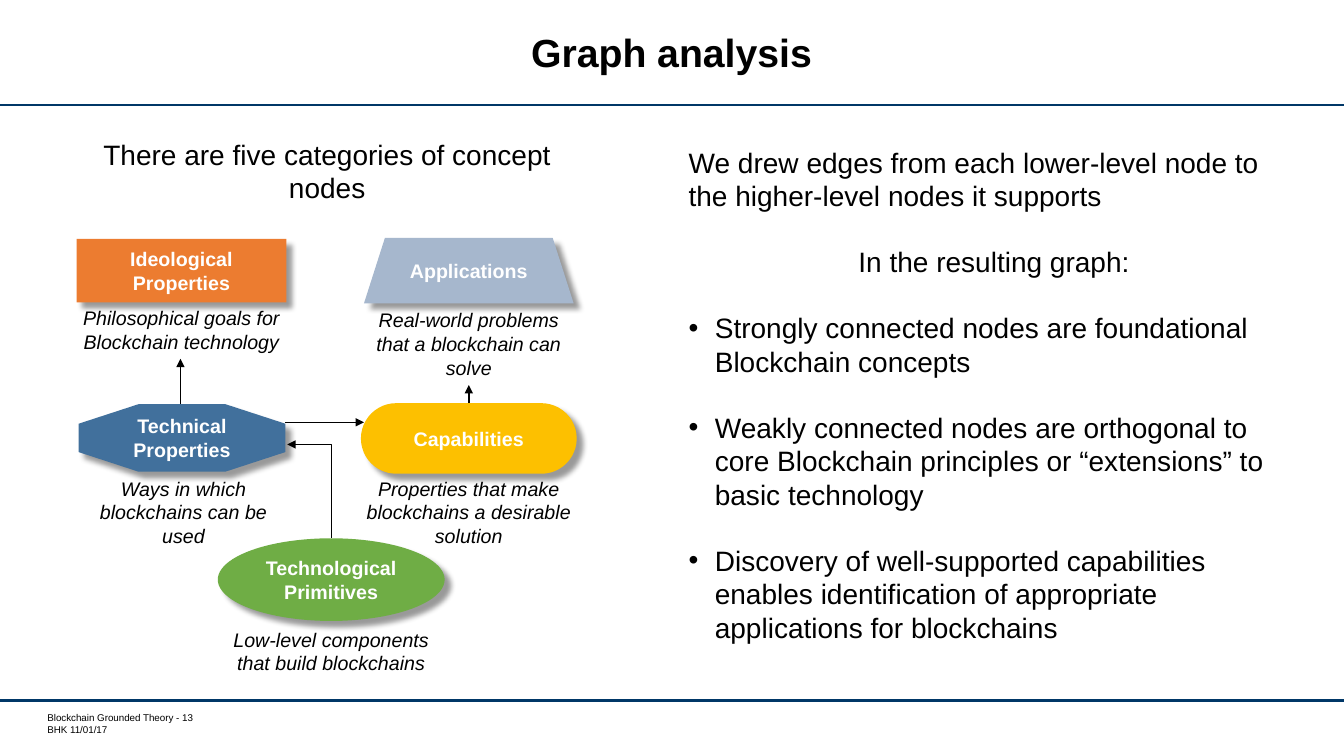
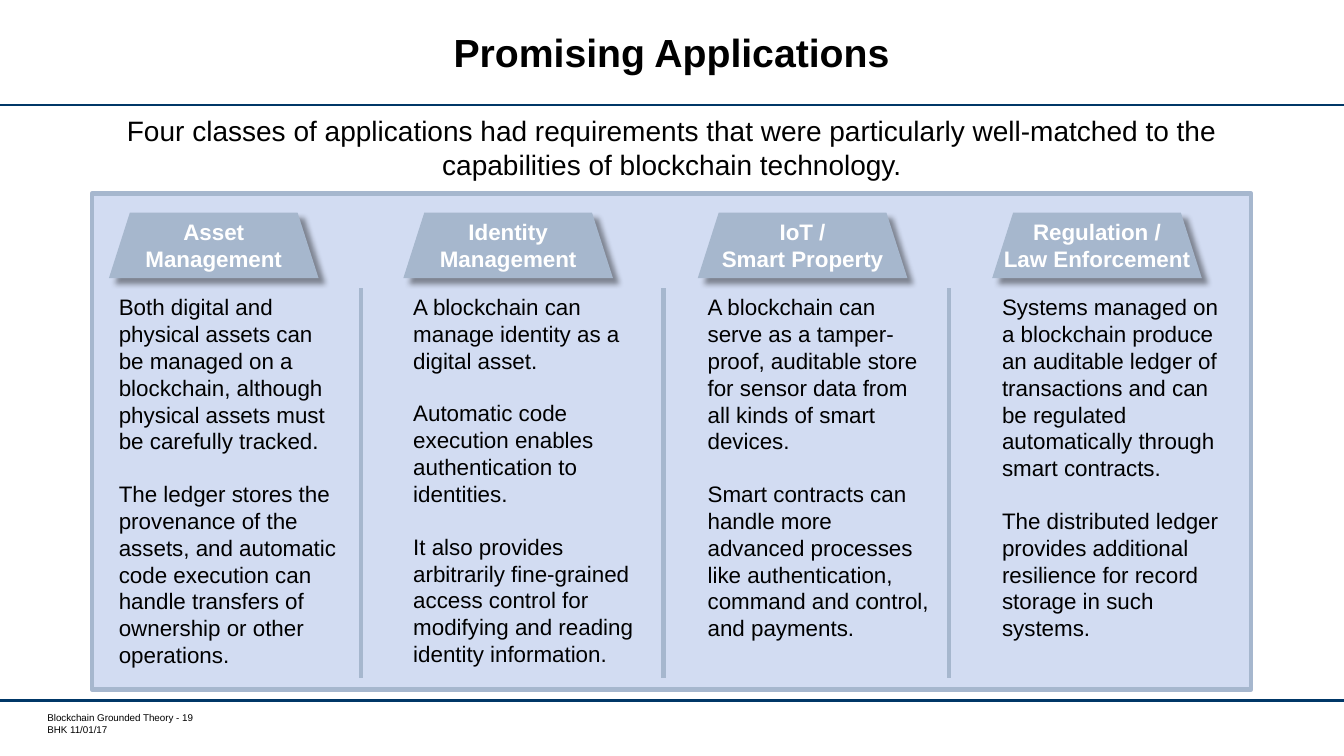
from lxml import etree
from pptx import Presentation
from pptx.dml.color import RGBColor
from pptx.enum.shapes import MSO_CONNECTOR, MSO_SHAPE
from pptx.enum.text import MSO_ANCHOR, MSO_AUTO_SIZE, PP_ALIGN
from pptx.oxml.ns import qn
from pptx.util import Inches, Pt

LEFT, CENTER = PP_ALIGN.LEFT, PP_ALIGN.CENTER
TOP, MIDDLE = MSO_ANCHOR.TOP, MSO_ANCHOR.MIDDLE
FIXED_SIZE = MSO_AUTO_SIZE.NONE
STRAIGHT, ELBOW = MSO_CONNECTOR.STRAIGHT, MSO_CONNECTOR.ELBOW
RECTANGLE, ROUNDED, OVAL = MSO_SHAPE.RECTANGLE, MSO_SHAPE.ROUNDED_RECTANGLE, MSO_SHAPE.OVAL
TITLE_AND_CONTENT, TWO_CONTENT = 1, 3

FONT = "Arial"
SLIDE_WIDTH, SLIDE_HEIGHT = 13.33, 7.5
COLORS = {
    "text": "000000",
    "light": "FFFFFF",
    "rule": "003767",
    "ideology": "EC7C30",
    "technical": "41709C",
    "capability": "FDC000",
    "application": "A6B7CD",
    "primitive": "6FAD45",
    "panel": "D2DCF2",
    "border": "A6B7CE",
}
INSETS = (0.1, 0.05, 0.1, 0.05)
NO_INSETS = (0, 0, 0, 0)
TITLE_FONT = {"size": Pt(28), "bold": True}
BODY_FONT = {"size": Pt(20)}
COLUMN_FONT = {"size": Pt(16)}
CAPTION_FONT = {"size": Pt(14), "italic": True}
FOOTER_FONT = {"size": Pt(7)}

# Outlines as fractions of the shape's width and height
TRAPEZOID = ((0.1, 0), (0.9, 0), (1, 1), (0, 1))
WIDE_OCTAGON = ((0.29, 0), (0.71, 0), (1, 0.29), (1, 0.71),
                (0.71, 1), (0.29, 1), (0, 0.71), (0, 0.29))


def rgb(color):
    return RGBColor.from_string(COLORS[color])


def add_xml(parent, tag, **attributes):
    return etree.SubElement(parent, qn(tag), attributes)


class Deck:
    def __init__(self):
        self.presentation = Presentation()
        self.presentation.slide_width = Inches(SLIDE_WIDTH)
        self.presentation.slide_height = Inches(SLIDE_HEIGHT)
        self.slide = None

    def new_slide(self, layout, title, number):
        """Start a slide with its title, two rules and footer."""
        self.slide = self.presentation.slides.add_slide(
            self.presentation.slide_layouts[layout])
        self.placeholder(0, (1.37, 0.11, 10.58, 0.89), [title], TITLE_FONT,
                         anchor=MIDDLE, line_spacing=Pt(28))
        for y in (1.04, 6.95):
            self.line((0, y), (SLIDE_WIDTH, y), "rule", 1.75)
        footer = (f"Blockchain Grounded Theory - {number}", "BHK 11/01/17")
        self.text_box((0.47, 7.06, 1.8, 0.24), footer, FOOTER_FONT, insets=NO_INSETS)

    def set_text(self, shape, paragraphs, font, color="text", align=LEFT, anchor=TOP,
                 insets=INSETS, gap=0, line_spacing=1.0):
        frame = shape.text_frame
        margins = dict(zip(
            ("margin_left", "margin_top", "margin_right", "margin_bottom"),
            map(Inches, insets)))
        frame_format = {"word_wrap": True, "auto_size": FIXED_SIZE,
                        "vertical_anchor": anchor, **margins}
        for name, value in frame_format.items():
            setattr(frame, name, value)
        for index, text in enumerate(paragraphs):
            paragraph = frame.add_paragraph() if index else frame.paragraphs[0]
            paragraph_format = {"alignment": align, "line_spacing": line_spacing,
                                "space_before": Pt(gap if index else 0),
                                "space_after": Pt(0)}
            for name, value in paragraph_format.items():
                setattr(paragraph, name, value)
            run = paragraph.add_run()
            run.text = text
            for name, value in {"name": FONT, **font}.items():
                setattr(run.font, name, value)
            run.font.color.rgb = rgb(color)
        return frame.paragraphs

    def placeholder(self, index, box, paragraphs, font, bullets_from=None, **text_format):
        """Move and fill a placeholder; paragraphs from bullets_from on get bullets."""
        shape = self.slide.placeholders[index]
        for name, value in zip(("left", "top", "width", "height"), box):
            setattr(shape, name, Inches(value))
        filled = self.set_text(shape, paragraphs, font,
                               **{"align": CENTER, **text_format})
        for position, paragraph in enumerate(filled):
            properties = paragraph._p.get_or_add_pPr()
            bulleted = bullets_from is not None and position >= bullets_from
            indent = Inches(0.26) if bulleted else 0
            properties.set("marL", str(indent))
            properties.set("indent", str(-indent))
            if bulleted:
                add_xml(properties, "a:buChar", char="•")
            else:
                add_xml(properties, "a:buNone")
        return filled

    def text_box(self, box, paragraphs, font, **text_format):
        shape = self.slide.shapes.add_textbox(*map(Inches, box))
        self.set_text(shape, paragraphs, font, **text_format)

    def caption(self, box, text):
        self.text_box(box, [text], CAPTION_FONT, align=CENTER,
                      insets=(0, 0.05, 0, 0.05))

    def paint(self, shape, fill, border=None):
        shape.shadow.inherit = False
        shape.fill.solid()
        shape.fill.fore_color.rgb = rgb(fill)
        if border:
            shape.line.color.rgb = rgb(border)
            shape.line.width = Pt(3)
        else:
            shape.line.fill.background()

    def panel(self, box, fill, border):
        shape = self.slide.shapes.add_shape(RECTANGLE, *map(Inches, box))
        self.paint(shape, fill, border)

    def node(self, outline, box, fill, lines, size=14):
        """Add a labelled, shadowed shape from a preset or a tuple of points."""
        if isinstance(outline, tuple):
            left, top, width, height = box
            points = [(Inches(left + x * width), Inches(top + y * height))
                      for x, y in outline]
            builder = self.slide.shapes.build_freeform(*points[0])
            builder.add_line_segments(points[1:], close=True)
            shape = builder.convert_to_shape()
        else:
            shape = self.slide.shapes.add_shape(outline, *map(Inches, box))
            if outline == ROUNDED:
                shape.adjustments[0] = 0.5
        self.paint(shape, fill)
        effects = shape._element.spPr.find(qn("a:effectLst"))
        shadow = add_xml(effects, "a:outerShdw", blurRad=str(Pt(4)), dist=str(Pt(6)),
                         dir="2700000", algn="tl", rotWithShape="0")
        shade = add_xml(shadow, "a:srgbClr", val=COLORS["text"])
        add_xml(shade, "a:alpha", val="40000")
        self.set_text(shape, lines, {"size": Pt(size), "bold": True}, color="light",
                      align=CENTER, anchor=MIDDLE, insets=NO_INSETS)

    def line(self, start, end, color, width, kind=STRAIGHT):
        connector = self.slide.shapes.add_connector(
            kind, *map(Inches, (*start, *end)))
        connector.line.color.rgb = rgb(color)
        connector.line.width = Pt(width)
        add_xml(connector._element.spPr, "a:effectLst")
        return connector

    def arrow(self, start, end):
        """Point from start to end, going up first and then sideways if both differ."""
        bent = start[0] != end[0] and start[1] != end[1]
        connector = self.line(start, end, "text", 1, ELBOW if bent else STRAIGHT)
        properties = connector._element.spPr
        add_xml(properties.find(qn("a:ln")), "a:tailEnd", type="triangle")
        if bent:
            geometry = properties.find(qn("a:prstGeom"))
            adjustments = geometry.find(qn("a:avLst"))
            if adjustments is None:
                adjustments = add_xml(geometry, "a:avLst")
            add_xml(adjustments, "a:gd", name="adj1", fmla="val 0")


def graph_analysis(deck):
    deck.new_slide(TWO_CONTENT, "Graph analysis", 13)
    deck.placeholder(1, (0.76, 1.3, 4.97, 0.79),
                     ["There are five categories of concept nodes"],
                     BODY_FONT, anchor=MIDDLE)
    findings = (
        "We drew edges from each lower-level node to the higher-level nodes it supports",
        "In the resulting graph:",
        "Strongly connected nodes are foundational Blockchain concepts",
        "Weakly connected nodes are orthogonal to core Blockchain principles or "
        "“extensions” to basic technology",
        "Discovery of well-supported capabilities enables identification of appropriate "
        "applications for blockchains",
    )
    paragraphs = deck.placeholder(2, (6.73, 1.33, 6.26, 5.17), findings, BODY_FONT,
                                  bullets_from=2, align=LEFT, anchor=MIDDLE, gap=23)
    paragraphs[1].alignment = CENTER

    nodes = (
        (RECTANGLE, (0.76, 2.37, 2.08, 0.63), "ideology", ("Ideological", "Properties"),
         (0.76, 2.99, 2.08, 0.57), "Philosophical goals for Blockchain technology"),
        (WIDE_OCTAGON, (0.78, 4.01, 2.05, 0.67), "technical", ("Technical", "Properties"),
         (0.78, 4.68, 2.08, 0.81), "Ways in which blockchains can be used"),
        (ROUNDED, (3.58, 4, 2.14, 0.7), "capability", ("Capabilities",),
         (3.58, 4.68, 2.14, 0.81), "Properties that make blockchains a desirable solution"),
        (TRAPEZOID, (3.61, 2.36, 2.08, 0.65), "application", ("Applications",),
         (3.61, 3.01, 2.08, 0.81), "Real-world problems that a blockchain can solve"),
        (OVAL, (2.16, 5.34, 2.25, 0.82), "primitive", ("Technological", "Primitives"),
         (2.16, 6.18, 2.25, 0.57), "Low-level components that build blockchains"),
    )
    for outline, box, fill, lines, caption_box, caption in nodes:
        deck.node(outline, box, fill, lines)
        deck.caption(caption_box, caption)

    edges = (
        ((3.29, 5.34), (2.85, 4.41)),
        ((2.83, 4.19), (3.61, 4.19)),
        ((1.79, 4.01), (1.79, 3.56)),
        ((4.65, 4), (4.65, 3.82)),
    )
    for start, end in edges:
        deck.arrow(start, end)


def promising_applications(deck):
    deck.new_slide(TITLE_AND_CONTENT, "Promising Applications", 19)
    deck.placeholder(1, (0.72, 1.08, 11.89, 0.8),
                     ["Four classes of applications had requirements that were particularly "
                      "well-matched to the capabilities of blockchain technology."], BODY_FONT)
    deck.panel((0.91, 1.92, 11.5, 4.92), "panel", "border")

    columns = (
        (("Asset", "Management"),
         ("Both digital and physical assets can be managed on a blockchain, although "
          "physical assets must be carefully tracked.",
          "The ledger stores the provenance of the assets, and automatic code execution "
          "can handle transfers of ownership or other operations.")),
        (("Identity", "Management"),
         ("A blockchain can manage identity as a digital asset.",
          "Automatic code execution enables authentication to identities.",
          "It also provides arbitrarily fine-grained access control for modifying and "
          "reading identity information.")),
        (("IoT /", "Smart Property"),
         ("A blockchain can serve as a tamper-proof, auditable store for sensor data "
          "from all kinds of smart devices.",
          "Smart contracts can handle more advanced processes like authentication, "
          "command and control, and payments.")),
        (("Regulation /", "Law Enforcement"),
         ("Systems managed on a blockchain produce an auditable ledger of transactions "
          "and can be regulated automatically through smart contracts.",
          "The distributed ledger provides additional resilience for record storage in "
          "such systems.")),
    )
    for index, (heading, paragraphs) in enumerate(columns):
        left = 1.08 + index * 2.92
        deck.node(TRAPEZOID, (left, 2.11, 2.08, 0.65), "application", heading, size=16)
        deck.text_box((left, 2.86, 2.42, 3.87), paragraphs, COLUMN_FONT, gap=18.4)
    for x in (3.58, 6.58, 9.41):
        deck.line((x, 2.86), (x, 6.73), "border", 3)


def main():
    deck = Deck()
    graph_analysis(deck)
    promising_applications(deck)
    deck.presentation.save("out.pptx")


if __name__ == "__main__":
    main()
